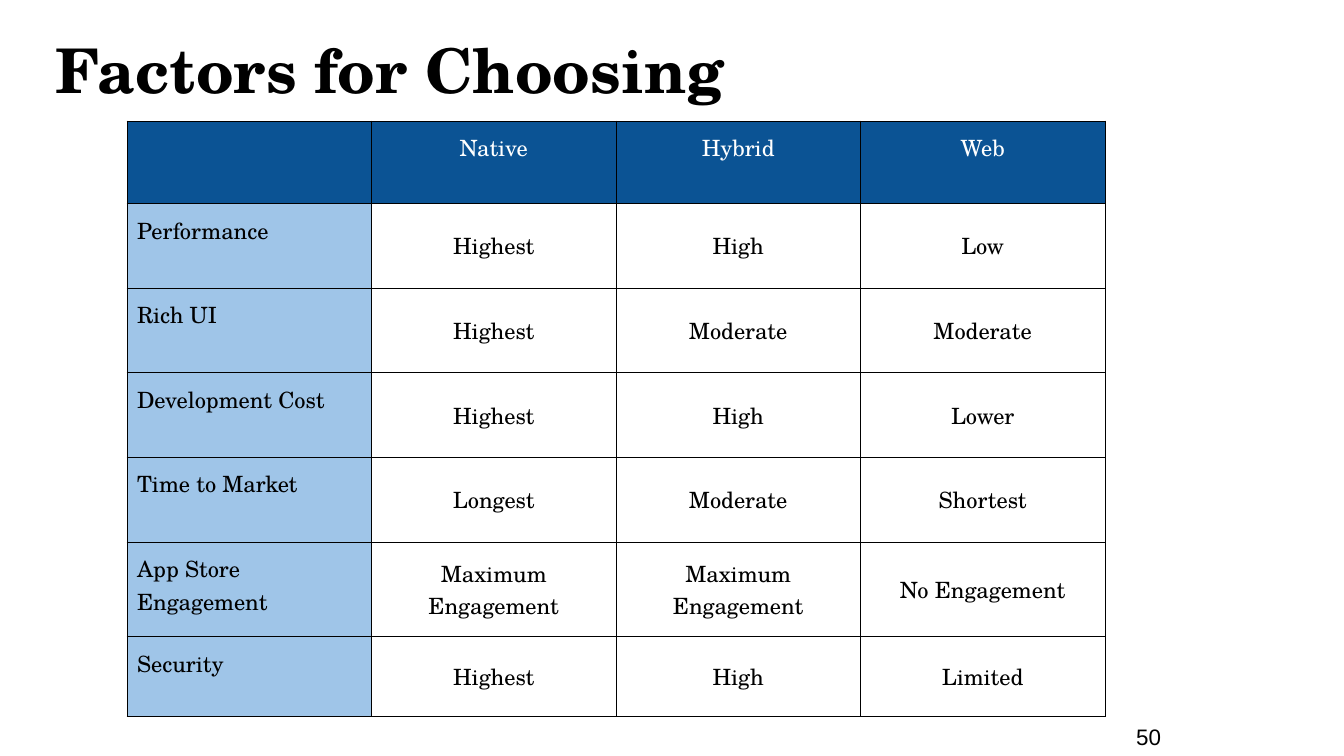
from lxml import etree
from pptx import Presentation
from pptx.dml.color import RGBColor
from pptx.enum.text import MSO_ANCHOR, PP_ALIGN
from pptx.oxml.ns import qn
from pptx.util import Inches, Pt

LEFT, CENTER = PP_ALIGN.LEFT, PP_ALIGN.CENTER
TOP, MIDDLE = MSO_ANCHOR.TOP, MSO_ANCHOR.MIDDLE

THEME = {
    "serif": "TeX Gyre Schola", "sans": "Arial",
    "title_size": 44, "body_size": 16,
    "black": "000000", "white": "FFFFFF",
    "header": "0B5394", "factor": "9FC5E8",
    "border_width": Pt(0.75),
}

FACTORS = [
    ["", "Native", "Hybrid", "Web"],
    ["Performance", "Highest", "High", "Low"],
    ["Rich UI", "Highest", "Moderate", "Moderate"],
    ["Development Cost", "Highest", "High", "Lower"],
    ["Time to Market", "Longest", "Moderate", "Shortest"],
    ["App Store Engagement", "Maximum Engagement", "Maximum Engagement", "No Engagement"],
    ["Security", "Highest", "High", "Limited"],
]
ROW_HEIGHTS = [0.82] + [0.84] * 4 + [0.94, 0.79]
TABLE_WIDTH = 9.7


def write(frame, text, size, font="serif", color="black", bold=False, align=LEFT):
    paragraph = frame.paragraphs[0]
    paragraph.alignment = align
    run = paragraph.add_run()
    run.text = text
    run.font.color.rgb = RGBColor.from_string(THEME[color])
    formats = {"name": THEME[font], "size": Pt(THEME[size]), "bold": bold}
    for key, value in formats.items():
        setattr(run.font, key, value)
    return paragraph


def add_borders(cell):
    properties = cell._tc.get_or_add_tcPr()
    for side in ("lnL", "lnR", "lnT", "lnB"):
        line = etree.SubElement(properties, qn(f"a:{side}"), w=str(THEME["border_width"]))
        fill = etree.SubElement(line, qn("a:solidFill"))
        etree.SubElement(fill, qn("a:srgbClr"), val=THEME["black"])


deck = Presentation()
deck.slide_width, deck.slide_height = Inches(13.33), Inches(7.5)
slide = deck.slides.add_slide(deck.slide_layouts[6])

factor_table = slide.shapes.add_table(
    len(FACTORS), len(FACTORS[0]), Inches(1.26), Inches(1.2),
    Inches(TABLE_WIDTH), Inches(sum(ROW_HEIGHTS))).table
factor_table.first_row = False
factor_table.horz_banding = False
for column in factor_table.columns:
    column.width = Inches(TABLE_WIDTH / len(FACTORS[0]))

for r, (ratings, height) in enumerate(zip(FACTORS, ROW_HEIGHTS)):
    factor_table.rows[r].height = Inches(height)
    for c, rating in enumerate(ratings):
        cell = factor_table.cell(r, c)
        for side in ("left", "right", "top", "bottom"):
            setattr(cell, f"margin_{side}", Inches(0.1))
        cell.vertical_anchor = MIDDLE if r and c else TOP
        add_borders(cell)
        if r and c:
            cell.fill.background()
        else:
            cell.fill.solid()
            cell.fill.fore_color.rgb = RGBColor.from_string(THEME["factor" if r else "header"])
        if rating:
            write(cell.text_frame, rating, "body_size",
                  color="black" if r else "white", align=CENTER if c else LEFT)

title = slide.shapes.add_textbox(Inches(0.45), Inches(0), Inches(11.5), Inches(1.45)).text_frame
title.word_wrap = True
title.vertical_anchor = MIDDLE
write(title, "Factors for Choosing", "title_size", bold=True).line_spacing = 0.9

page_number = slide.shapes.add_textbox(
    Inches(11.17), Inches(7.13), Inches(0.48), Inches(0.37)).text_frame
page_number.word_wrap = True
write(page_number, "50", "body_size", font="sans")

deck.save("out.pptx")
